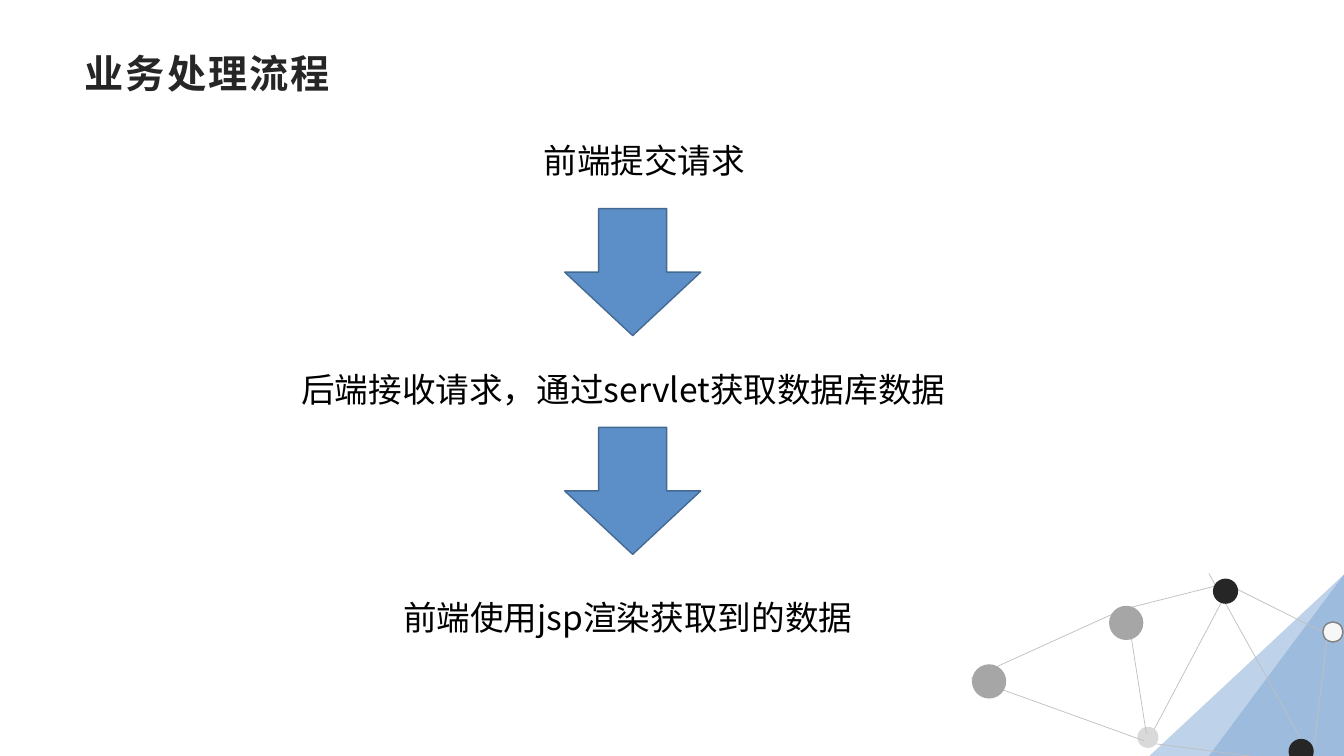
from lxml import etree
from pptx import Presentation
from pptx.dml.color import RGBColor
from pptx.enum.shapes import MSO_CONNECTOR as CONNECTOR, MSO_SHAPE as SHAPE
from pptx.enum.text import MSO_ANCHOR as ANCHOR, PP_ALIGN as ALIGN
from pptx.oxml.ns import qn
from pptx.util import Inches, Pt

CJK_FONT = "Noto Sans CJK SC"

# Links as (x1, y1, x2, y2), nodes as (left, top, diameter, fill)
BACK_LINKS = [
    (11.2, 6.03, 12.07, 5.81),
    (13.32, 6.37, 12.28, 5.85),
    (13, 7.58, 11.47, 7.38),
    (12.98, 7.47, 11.99, 5.69),
    (12.16, 5.89, 11.45, 7.23),
]
BACK_NODES = [
    (12.03, 5.74, 0.25, "262626"),
    (11.28, 7.21, 0.21, "D9D9D9"),
]
FRONT_LINKS = [
    (13.16, 6.35, 13.02, 7.52),
    (11.37, 7.28, 11.19, 6.13),
    (9.63, 6.73, 11.15, 6.04),
    (9.77, 6.78, 11.35, 7.35),
]
FRONT_NODES = [
    (9.64, 6.59, 0.34, "A6A6A6"),
    (12.78, 7.33, 0.25, "262626"),
    (11, 6.01, 0.34, "A6A6A6"),
]


def rgb(color):
    return RGBColor.from_string(color)


def paint(shape, fill, line=None):
    shape.shadow.inherit = False
    shape.fill.solid()
    shape.fill.fore_color.rgb = rgb(fill)
    if line:
        shape.line.color.rgb = rgb(line)
        shape.line.width = Pt(1)
    else:
        shape.line.fill.background()


def add_triangle(slide, corners, fill):
    points = [(Inches(x), Inches(y)) for x, y in corners]
    builder = slide.shapes.build_freeform(*points[0])
    builder.add_line_segments(points[1:], close=True)
    paint(builder.convert_to_shape(), fill)


def add_preset(slide, preset, box, fill, line=None):
    shape = slide.shapes.add_shape(preset, *map(Inches, box))
    paint(shape, fill, line)


def add_node(slide, left, top, diameter, fill, line=None):
    add_preset(slide, SHAPE.OVAL, (left, top, diameter, diameter), fill, line)


def add_link(slide, *ends):
    link = slide.shapes.add_connector(CONNECTOR.STRAIGHT, *map(Inches, ends))
    link.line.color.rgb = rgb("BFBFBF")
    link.line.width = Pt(0.5)
    etree.SubElement(link._element.spPr, qn("a:effectLst"))


def add_text(slide, text, box, size=24, font=CJK_FONT, color="000000"):
    """Add a wrapped one-paragraph text box and return its text frame."""
    frame = slide.shapes.add_textbox(*map(Inches, box)).text_frame
    frame.word_wrap = True
    frame.text = text
    run = frame.paragraphs[0].runs[0]
    run.font.size = Pt(size)
    run.font.name = font
    run.font.color.rgb = rgb(color)
    east_asian = etree.SubElement(run._r.get_or_add_rPr(), qn("a:ea"))
    east_asian.set("typeface", CJK_FONT)
    return frame


def add_title(slide):
    frame = add_text(slide, "业务处理流程", (0.73, 0.48, 11.87, 0.48),
                     28, "Arial", "262626")
    frame.vertical_anchor = ANCHOR.MIDDLE
    frame.margin_left, frame.margin_right = Inches(0.11), Inches(0.08)
    frame.margin_top = frame.margin_bottom = Inches(0.04)
    run = frame.paragraphs[0].runs[0]
    run.font.bold = True
    run._r.get_or_add_rPr().set("spc", "150")


def add_network(slide):
    for link in BACK_LINKS:
        add_link(slide, *link)
    for node in BACK_NODES:
        add_node(slide, *node)
    add_node(slide, 13.12, 6.17, 0.2, "F7F7F7", "808080")
    for link in FRONT_LINKS:
        add_link(slide, *link)
    for node in FRONT_NODES:
        add_node(slide, *node)


def add_flow(slide):
    request = add_text(slide, "前端提交请求", (4.63, 1.14, 3.52, 0.64),
                       font="Calibri").paragraphs[0]
    request.alignment = ALIGN.CENTER
    request.line_spacing = 1.5
    add_text(slide, "后端接收请求，通过servlet获取数据库数据", (2.89, 3.61, 6.77, 0.5))
    add_text(slide, "前端使用jsp渲染获取到的数据", (3.9, 5.87, 4.75, 0.5))
    for top in (2.07, 4.24):
        add_preset(slide, SHAPE.DOWN_ARROW, (5.6, top, 1.35, 1.26),
                   "5C8FC7", "446A93")


def main():
    deck = Presentation()
    deck.slide_width, deck.slide_height = Inches(13.33), Inches(7.5)
    slide = deck.slides.add_slide(deck.slide_layouts[6])
    add_triangle(slide, [(13.33, 5.7), (12.96, 7.5), (11.4, 7.5)], "BED2E9")
    add_triangle(slide, [(13.33, 5.7), (13.33, 7.5), (11.99, 7.5)], "9DBCDD")
    add_title(slide)
    add_network(slide)
    add_flow(slide)
    deck.save("out.pptx")


if __name__ == "__main__":
    main()
